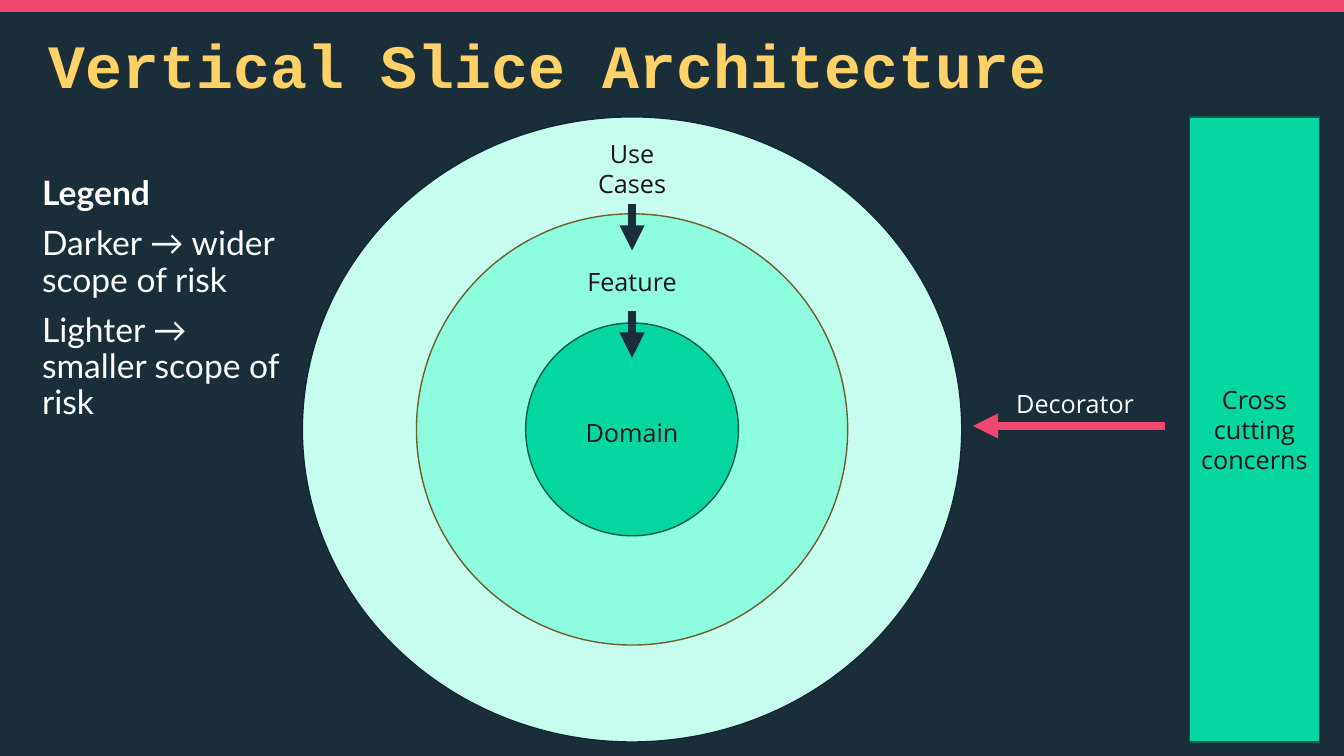
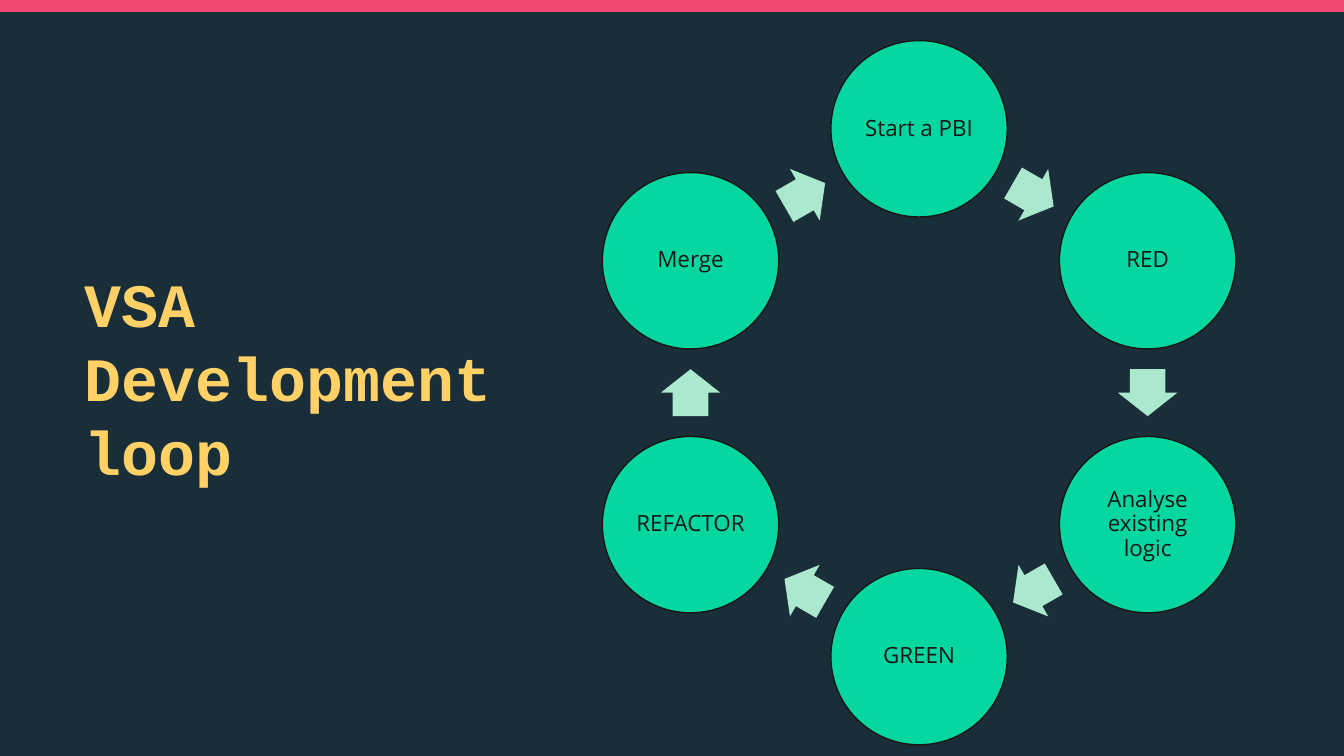
import math

from lxml import etree
from pptx import Presentation
from pptx.dml.color import RGBColor
from pptx.enum import shapes, text
from pptx.oxml import ns
from pptx.util import Pt

NAVY, PINK, YELLOW, WHITE, INK = "192E39", "EF476F", "FFD166", "FFFFFF", "171616"
GREEN, DARK_GREEN, MINT, PALE_MINT, SAGE = "06D6A0", "035E46", "8EFCDF", "C7FDEF", "ABE8CD"
SLIDE_W, SLIDE_H = 960, 540

TITLE = {"name": "Courier New", "size": Pt(44), "bold": True, "color": YELLOW}
LABEL = {"name": "Open Sans", "size": Pt(18), "color": INK}
DECORATOR = {**LABEL, "color": WHITE}
STEP = {**LABEL, "size": Pt(16)}
LEGEND = {"name": "Lato", "size": Pt(24), "color": WHITE}
LEGEND_HEAD = {**LEGEND, "bold": True}

CENTERED = {"alignment": text.PP_ALIGN.CENTER}
LEGEND_SPACING = {"line_spacing": 0.9, "space_before": Pt(10)}
STEP_SPACING = {**CENTERED, "line_spacing": 0.9}
MARGINS = ("margin_left", "margin_top", "margin_right", "margin_bottom")


def rgb(color):
    return RGBColor.from_string(color)


def write(frame, lines, spacing):
    """Fill a text frame with (wording, font format) paragraphs."""
    frame.word_wrap = True
    for index, (wording, style) in enumerate(lines):
        paragraph = frame.paragraphs[0] if index == 0 else frame.add_paragraph()
        for name, value in spacing.items():
            setattr(paragraph, name, value)
        run = paragraph.add_run()
        run.text = wording
        for name, value in style.items():
            if name == "color":
                run.font.color.rgb = rgb(value)
            else:
                setattr(run.font, name, value)


def add_text(slide, box, lines, spacing):
    frame = slide.shapes.add_textbox(*map(Pt, box)).text_frame
    write(frame, lines, spacing)


def add_filled(slide, kind, box, fill, outline=None):
    shape = slide.shapes.add_shape(kind, *map(Pt, box))
    shape.shadow.inherit = False
    shape.fill.solid()
    shape.fill.fore_color.rgb = rgb(fill)
    if outline:
        shape.line.color.rgb = rgb(outline)
        shape.line.width = Pt(1)
    else:
        shape.line.fill.background()
    return shape


def add_arrow(slide, start, end, color):
    arrow = slide.shapes.add_connector(
        shapes.MSO_CONNECTOR.STRAIGHT, *map(Pt, (*start, *end)))
    arrow.line.color.rgb = rgb(color)
    arrow.line.width = Pt(6)
    properties = arrow._element.spPr
    etree.SubElement(properties.find(ns.qn("a:ln")), ns.qn("a:tailEnd"), type="triangle")
    etree.SubElement(properties, ns.qn("a:effectLst"))


def centered_box(x, y, width, height):
    return x - width / 2, y - height / 2, width, height


def add_slide(prs, title_lines, title_box):
    """Add a slide with the top band and the title."""
    slide = prs.slides.add_slide(prs.slide_layouts[6])
    add_filled(slide, shapes.MSO_SHAPE.RECTANGLE, (0, 0, SLIDE_W, 8), PINK, PINK)
    add_text(slide, title_box, [(line, TITLE) for line in title_lines], {})
    return slide


def add_rings(slide, box):
    left, top, width, height = box
    x, y = left + width / 2, top + height / 2
    rings = [(width, height, PALE_MINT, "112536"),
             (308, 308, MINT, "705C2D"),
             (152, 152, GREEN, DARK_GREEN)]
    for ring_w, ring_h, fill, outline in rings:
        add_filled(slide, shapes.MSO_SHAPE.OVAL,
                   centered_box(x, y, ring_w, ring_h), fill, outline)
    for name, offset, label_w in [("Use Cases", 11.5, 96),
                                  ("Feature", 103, 86),
                                  ("Domain", 211, 86)]:
        add_text(slide, (x - label_w / 2, top + offset, label_w, 25),
                 [(name, LABEL)], CENTERED)
    for offset in (62.5, 139):
        add_arrow(slide, (x, top + offset), (x, top + offset + 33), NAVY)


def add_cross_cutting(slide, box):
    """Place the bar and the decorator arrow that leads left from it."""
    left, top, width, height = box
    bar = add_filled(slide, shapes.MSO_SHAPE.RECTANGLE, box, GREEN, DARK_GREEN)
    write(bar.text_frame, [("Cross cutting concerns", LABEL)], CENTERED)
    y = top + height / 2 - 2.5
    add_arrow(slide, (left - 17.5, y), (left - 154.5, y), PINK)
    add_text(slide, (left - 137, y - 30.5, 111, 29), [("Decorator", DECORATOR)], CENTERED)


def add_loop(slide, box, steps):
    """Set the steps clockwise on a circle, with a block arrow after each."""
    left, top, width, height = box
    diameter = 126
    radius = (height - diameter) / 2
    turn = 360 / len(steps)
    x, y = left + width / 2, top + height / 2

    def at(angle, distance):
        bearing = math.radians(angle)
        return x + distance * math.sin(bearing), y - distance * math.cos(bearing)

    for index, step in enumerate(steps):
        angle = index * turn
        circle = add_filled(slide, shapes.MSO_SHAPE.OVAL,
                            centered_box(*at(angle, radius), diameter, diameter), GREEN, INK)
        for margin in MARGINS:
            setattr(circle.text_frame, margin, Pt(1.5))
        write(circle.text_frame, [(step, STEP)], STEP_SPACING)

        midway = radius * math.cos(math.radians(turn / 2))
        arrow = add_filled(slide, shapes.MSO_SHAPE.RIGHT_ARROW,
                           centered_box(*at(angle + turn / 2, midway), 33.5, 42.5), SAGE)
        arrow.adjustments[0] = 0.6
        arrow.adjustments[1] = 0.5
        arrow.rotation = angle + turn / 2


def build_architecture(prs):
    slide = add_slide(prs, ["Vertical Slice Architecture"], (27.5, 16, 924.5, 60.5))
    add_rings(slide, (216, 83.5, 471, 446.5))
    add_cross_cutting(slide, (849.5, 83.5, 93, 446.5))
    add_text(slide, (23, 122.5, 186, 330.5),
             [("Legend", LEGEND_HEAD),
              ("Darker → wider scope of risk", LEGEND),
              ("Lighter → smaller scope of risk", LEGEND)], LEGEND_SPACING)


def build_development_loop(prs):
    slide = add_slide(prs, ["VSA", "Development loop"], (53.5, 186.5, 313, 167))
    add_loop(slide, (428, 29, 457, 503),
             ["Start a PBI", "RED", "Analyse existing logic", "GREEN", "REFACTOR", "Merge"])


def main():
    prs = Presentation()
    prs.slide_width, prs.slide_height = Pt(SLIDE_W), Pt(SLIDE_H)
    background = prs.slide_master.background.fill
    background.solid()
    background.fore_color.rgb = rgb(NAVY)
    build_architecture(prs)
    build_development_loop(prs)
    prs.save("out.pptx")


if __name__ == "__main__":
    main()
